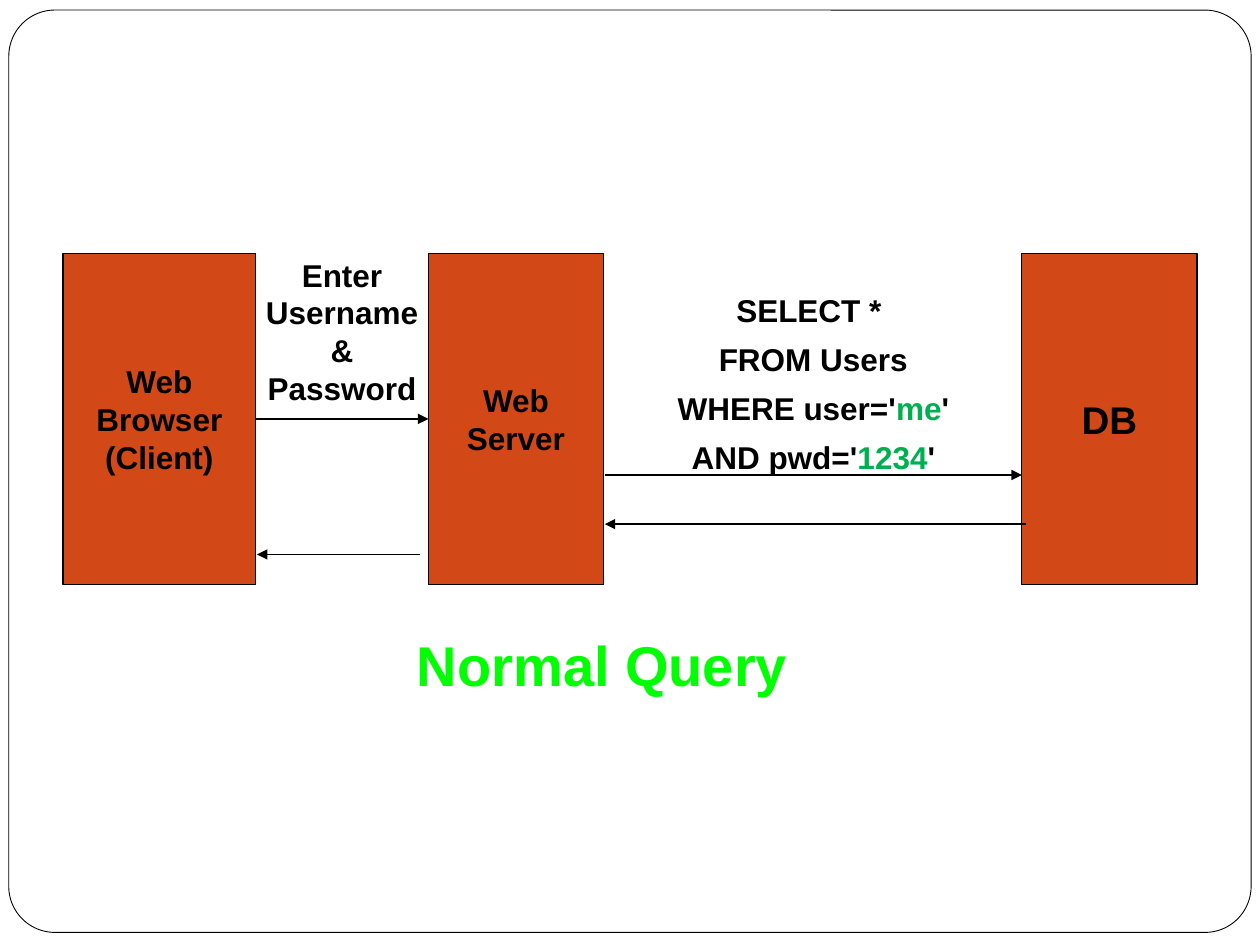
import pptx
import pptx.util
import pptx.dml.color
import pptx.enum.shapes
import pptx.enum.text
import pptx.oxml
import pptx.oxml.ns

WIDE, HIGH = 10, 7.5
COLS, ROWS = 100, 75
BLACK, WHITE, RUST = "000000", "FFFFFF", "D34817"
GREEN, LIME = "00B050", "00FF00"
TOP, TALL = 20.1, 26.3

SHAPE = pptx.enum.shapes.MSO_SHAPE
ANCHOR = pptx.enum.text.MSO_ANCHOR


def col(n):
    return pptx.util.Inches(n * WIDE / COLS)


def row(n):
    return pptx.util.Inches(n * HIGH / ROWS)


def area(left, top, width, height):
    return col(left), row(top), col(width), row(height)


def paint(target, shade):
    """Give a fill or a font colour a hex colour."""
    if hasattr(target, "solid"):
        target.solid()
        target = target.fore_color
    target.rgb = pptx.dml.color.RGBColor.from_string(shade)


def draw(line, width):
    paint(line.fill, BLACK)
    line.width = pptx.util.Pt(width)


def write(shape, *lines, size=18, shade=BLACK, accent=GREEN, space=None,
          anchor=ANCHOR.TOP, wrap=False):
    """Put one paragraph per line; | turns the accent colour on and off."""
    frame = shape.text_frame
    frame.word_wrap = wrap
    frame.auto_size = pptx.enum.text.MSO_AUTO_SIZE.NONE
    frame.vertical_anchor = anchor
    for i, line in enumerate(lines):
        para = frame.add_paragraph() if i else frame.paragraphs[0]
        para.alignment = pptx.enum.text.PP_ALIGN.CENTER
        para.space_before = pptx.util.Pt(0)
        para.line_spacing = pptx.util.Pt(space) if space else 1.0
        for j, part in enumerate(line.split("|")):
            for k, text in enumerate(part.split("\n")):
                if k:
                    para.add_line_break()
                run = para.add_run()
                run.text = text
                run.font.name = "Arial"
                run.font.size = pptx.util.Pt(size)
                run.font.bold = True
                paint(run.font.color, accent if j % 2 else shade)


def block(slide, kind, place, fill, width):
    shape = slide.shapes.add_shape(kind, *area(*place))
    shape.shadow.inherit = False
    paint(shape.fill, fill)
    draw(shape.line, width)
    return shape


def node(slide, left, width, *lines, size=18):
    shape = block(slide, SHAPE.RECTANGLE, (left, TOP, width, TALL), RUST, 0.75)
    write(shape, *lines, size=size, anchor=ANCHOR.MIDDLE)
    return shape


def label(slide, place, *lines, **style):
    write(slide.shapes.add_textbox(*area(*place)), *lines, **style)


def arrow(slide, start, end, level, width):
    """Draw a level line with its head at the end column."""
    line = slide.shapes.add_connector(
        pptx.enum.shapes.MSO_CONNECTOR.STRAIGHT,
        col(start), row(level), col(end), row(level))
    draw(line.line, width)
    head = pptx.oxml.parse_xml(
        f'<a:tailEnd {pptx.oxml.ns.nsdecls("a")} type="triangle"/>')
    line.line._get_or_add_ln().append(head)
    line._element.spPr.append(pptx.oxml.parse_xml(
        f'<a:effectLst {pptx.oxml.ns.nsdecls("a")}/>'))
    return line


def main():
    deck = pptx.Presentation()
    deck.slide_width, deck.slide_height = col(COLS), row(ROWS)
    slide = deck.slides.add_slide(deck.slide_layouts[5])

    frame = block(slide, SHAPE.ROUNDED_RECTANGLE, (0.7, 0.8, 98.6, 73.2), WHITE, 0.5)
    frame.adjustments[0] = 0.05

    server = node(slide, 34, 13.9, "Web", "Server")
    client = node(slide, 5, 15.3, "Web", "Browser\n(Client)")
    node(slide, 81.1, 13.9, "DB", size=22)

    login = arrow(slide, 20.3, 34, 33.2, 0.75)
    login.begin_connect(client, 3)
    login.end_connect(server, 1)
    arrow(slide, 33.3, 20.4, 44, 0.75)
    arrow(slide, 48, 81.1, 37.7, 1)
    arrow(slide, 81.4, 48, 41.6, 1)

    label(slide, (20.1, 19.8, 14.1, 13), "Enter", "Username", "&", "Password")
    label(slide, (48, 21.7, 33.1, 16.6), "SELECT * ", "FROM Users",
          "WHERE user='|me|'\nAND pwd='|1234|'", space=28, wrap=True)

    title = slide.shapes.title
    title.left, title.top, title.width, title.height = area(31.1, 49.5, 33.4, 6.4)
    write(title, "Normal Query", size=32, shade=LIME, wrap=True)
    slide.shapes._spTree.append(title._element)

    deck.save("out.pptx")


if __name__ == "__main__":
    main()
